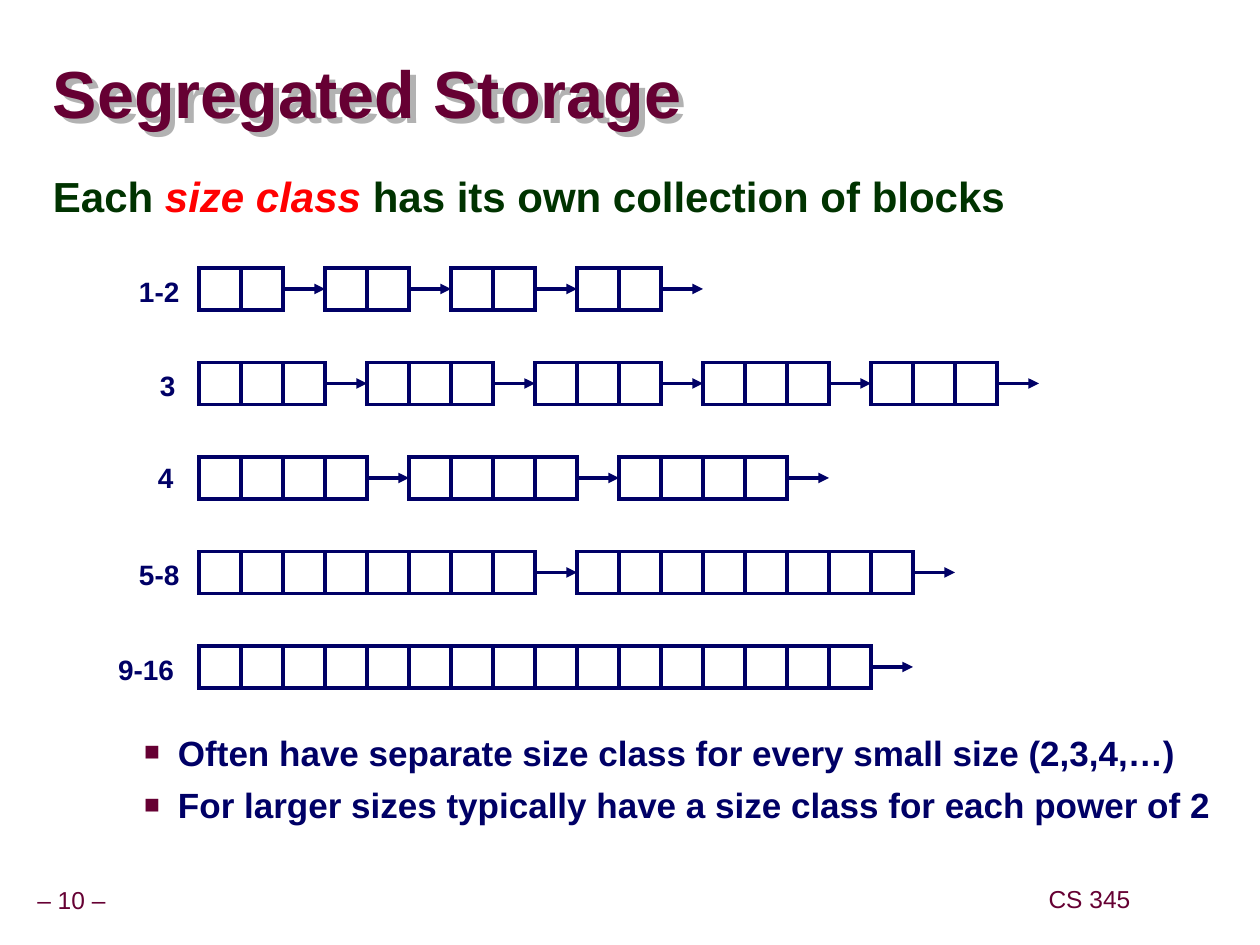
"""Build the Segregated Storage slide: one free list of blocks per size class."""
from lxml import etree
from pptx import Presentation
from pptx.dml.color import RGBColor
from pptx.enum.shapes import MSO_CONNECTOR, MSO_SHAPE
from pptx.enum.text import MSO_ANCHOR, MSO_AUTO_SIZE, PP_ALIGN
from pptx.oxml.ns import qn
from pptx.util import Pt

RECT, STRAIGHT = MSO_SHAPE.RECTANGLE, MSO_CONNECTOR.STRAIGHT
TOP, MIDDLE = MSO_ANCHOR.TOP, MSO_ANCHOR.MIDDLE
LEFT, CENTER = PP_ALIGN.LEFT, PP_ALIGN.CENTER
FIXED, GROW = MSO_AUTO_SIZE.NONE, MSO_AUTO_SIZE.SHAPE_TO_FIT_TEXT
LEFT_SIDE, RIGHT_SIDE = 1, 3

COLORS = {"maroon": "660033", "green": "003300", "red": "FF0000",
          "navy": "000066", "white": "FFFFFF", "shade": "B2B2B2"}
FONT = "Arial"
EMU_PER_PX = 914400 / 126
SLIDE_W, SLIDE_H = 1260, 945
CELL = 42
LIST_LEFT, LIST_TOP, TWO_ROWS = 199, 268, 189
LABEL_H = 46

TITLE = "Segregated Storage"
CLAIM = [("Each ", "green", False), ("size class", "red", True),
         (" has its own collection of blocks", "green", False)]
SIZE_CLASSES = [
    {"label": "1-2", "label_box": (126, 268, 68), "cells": 2, "blocks": 4},
    {"label": "3", "label_box": (147, 363, 43), "cells": 3, "blocks": 5},
    {"label": "4", "label_box": (145, 455, 43), "cells": 4, "blocks": 3},
    {"label": "5-8", "label_box": (126, 552, 68), "cells": 8, "blocks": 2},
    {"label": "9-16", "label_box": (105, 646, 84), "cells": 16, "blocks": 1},
]
NOTES = ["Often have separate size class for every small size (2,3,4,…)",
         "For larger sizes typically have a size class for each power of 2"]
FOOTERS = [("– 10 –", (-11, 882, 165, 39)), ("CS 345", (1042, 881, 95, 39))]


def px(length):
    return round(length * EMU_PER_PX)


def rgb(name):
    return RGBColor.from_string(COLORS[name])


def add_text(slide, box, paragraphs, size, bold=True, wrap=True, anchor=TOP,
             align=LEFT, insets=(13, 6), line_spacing=None, bullet_gap=None):
    holder = slide.shapes.add_textbox(*map(px, box))
    frame = holder.text_frame
    side, edge = map(px, insets)
    layout = {"word_wrap": wrap, "auto_size": FIXED if wrap else GROW,
              "vertical_anchor": anchor, "margin_left": side,
              "margin_right": side, "margin_top": edge, "margin_bottom": edge}
    for key, value in layout.items():
        setattr(frame, key, value)
    for index, pieces in enumerate(paragraphs):
        paragraph = frame.paragraphs[0] if index == 0 else frame.add_paragraph()
        if bullet_gap is not None:
            add_bullet(paragraph)
            if index:
                paragraph.space_before = Pt(bullet_gap)
        paragraph.alignment = align
        if line_spacing:
            paragraph.line_spacing = line_spacing
        for words, color, italic in pieces:
            run = paragraph.add_run()
            run.text = words
            look = {"name": FONT, "size": Pt(size), "bold": bold, "italic": italic}
            for key, value in look.items():
                setattr(run.font, key, value)
            run.font.color.rgb = rgb(color)
    return holder


def add_bullet(paragraph):
    properties = paragraph._p.get_or_add_pPr()
    properties.set("marL", str(px(102)))
    properties.set("indent", str(px(-34)))
    color = etree.SubElement(properties, qn("a:buClr"))
    etree.SubElement(color, qn("a:srgbClr"), val=COLORS["maroon"])
    etree.SubElement(properties, qn("a:buSzPct"), val="75000")
    etree.SubElement(properties, qn("a:buFont"), typeface=FONT)
    etree.SubElement(properties, qn("a:buChar"), char="■")


def add_text_shadow(holder):
    effects = etree.SubElement(holder._element.spPr, qn("a:effectLst"))
    shadow = etree.SubElement(effects, qn("a:outerShdw"),
                              dist=str(px(8)), dir="2700000", algn="ctr")
    etree.SubElement(shadow, qn("a:srgbClr"), val=COLORS["shade"])


def add_cell(slide, left, top):
    cell = slide.shapes.add_shape(RECT, px(left), px(top), px(CELL), px(CELL))
    cell.shadow.inherit = False
    cell.fill.solid()
    cell.fill.fore_color.rgb = rgb("white")
    cell.line.color.rgb = rgb("navy")
    cell.line.width = Pt(2)
    etree.SubElement(cell.line._get_or_add_ln(), qn("a:miter"), lim="800000")
    return cell


def add_arrow(slide, left, middle, source, target):
    arrow = slide.shapes.add_connector(
        STRAIGHT, px(left), px(middle), px(left + CELL), px(middle))
    arrow.begin_connect(source, RIGHT_SIDE)
    if target is not None:
        arrow.end_connect(target, LEFT_SIDE)
    arrow.line.color.rgb = rgb("navy")
    arrow.line.width = Pt(2)
    etree.SubElement(arrow.line._get_or_add_ln(), qn("a:tailEnd"), type="triangle")
    etree.SubElement(arrow._element.spPr, qn("a:effectLst"))


def add_size_class(slide, row, size_class):
    top = LIST_TOP + row * TWO_ROWS / 2
    count = size_class["cells"]
    starts = [LIST_LEFT + block * (count + 1) * CELL
              for block in range(size_class["blocks"])]
    blocks = [[add_cell(slide, start + place * CELL, top) for place in range(count)]
              for start in starts]
    followers = [block[0] for block in blocks[1:]] + [None]
    for start, block, follower in zip(starts, blocks, followers):
        add_arrow(slide, start + count * CELL, top + CELL / 2, block[-1], follower)
    add_text(slide, (*size_class["label_box"], LABEL_H),
             [[(size_class["label"], "navy", False)]], 16, wrap=False)


def main():
    deck = Presentation()
    deck.slide_width, deck.slide_height = px(SLIDE_W), px(SLIDE_H)
    slide = deck.slides.add_slide(deck.slide_layouts[6])
    for words, box in FOOTERS:
        add_text(slide, box, [[(words, "maroon", False)]], 14, bold=False, wrap=False,
                 anchor=MIDDLE, align=CENTER, insets=(6, 6), line_spacing=0.9)
    title = add_text(slide, (53, 58, 883, 79), [[(TITLE, "maroon", False)]], 38,
                     anchor=MIDDLE, insets=(0, 0), line_spacing=0.87)
    add_text_shadow(title)
    add_text(slide, (40, 168, 1145, 71), [CLAIM], 24, line_spacing=0.95)
    for row, size_class in enumerate(SIZE_CLASSES):
        add_size_class(slide, row, size_class)
    add_text(slide, (63, 725, 1176, 105),
             [[(note, "navy", False)] for note in NOTES], 20, bullet_gap=6.2)
    deck.save("out.pptx")


if __name__ == "__main__":
    main()
